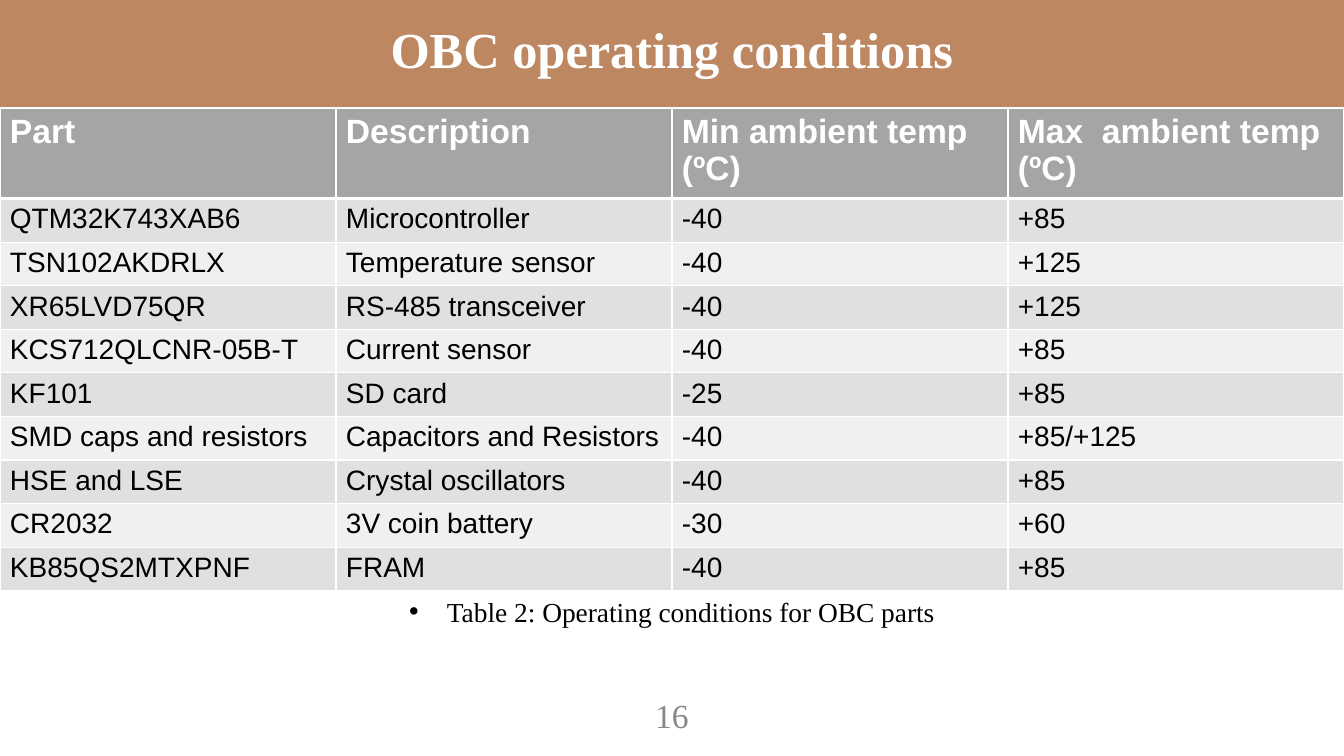
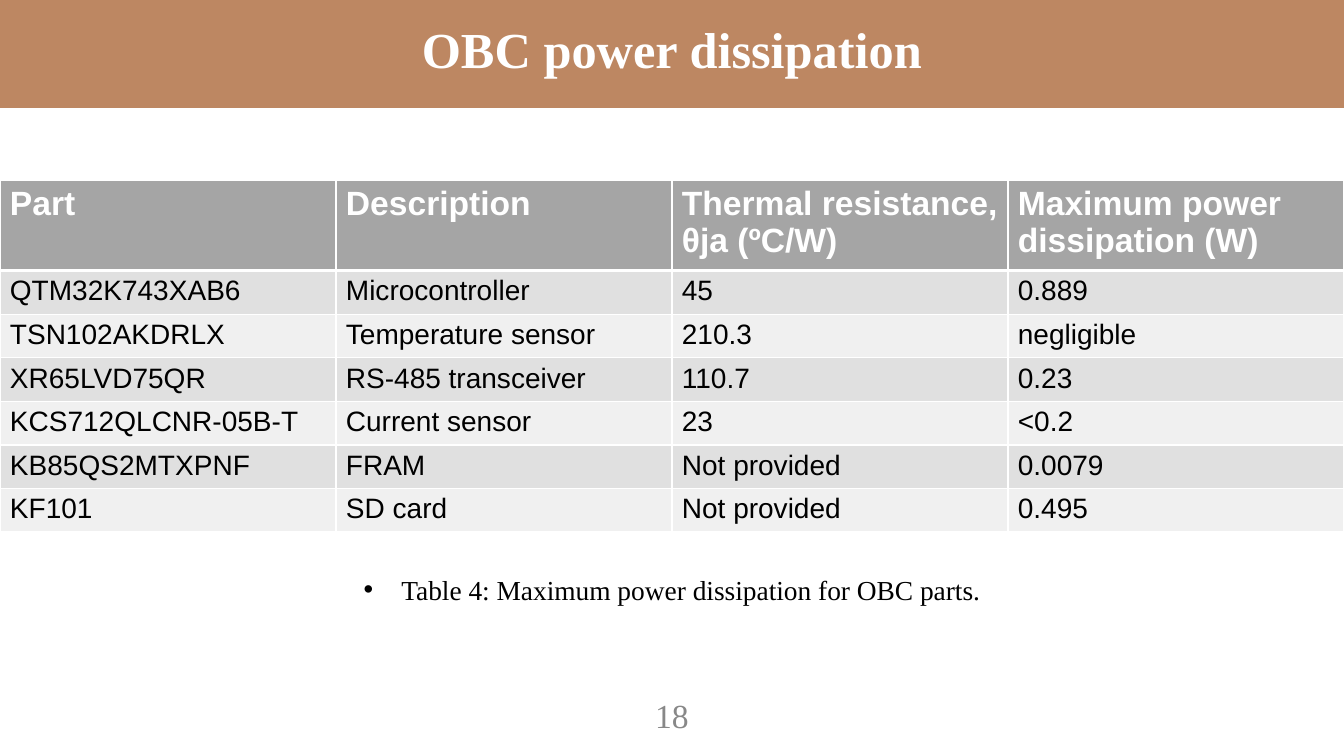
from lxml.etree import SubElement
from pptx import Presentation
from pptx.dml.color import RGBColor
from pptx.enum.text import MSO_ANCHOR, MSO_AUTO_SIZE, PP_ALIGN
from pptx.oxml.ns import qn
from pptx.util import Emu, Pt

WHITE = RGBColor(0xFF, 0xFF, 0xFF)
BLACK = RGBColor(0x00, 0x00, 0x00)
BROWN = RGBColor(0x9A, 0x47, 0x0E)
HEADER_GRAY = RGBColor(0xA5, 0xA5, 0xA5)
ROW_GRAYS = (RGBColor(0xE0, 0xE0, 0xE0), RGBColor(0xF0, 0xF0, 0xF0))
NUMBER_GRAY = RGBColor(0x88, 0x88, 0x88)

SERIF, SANS = "Times New Roman", "Arial"
WIDTH, HEIGHT = 1344, 756
EMU_PER_PX = 6858000 / HEIGHT
BAND_TOP, BAND_HEIGHT = -4, 112
HEADER_HEIGHT, ROW_HEIGHT = 84, 40
MARGIN_X, MARGIN_Y = 10, 5

MICROCONTROLLER = ("QTM32K743XAB6", "Microcontroller")
TEMPERATURE_SENSOR = ("TSN102AKDRLX", "Temperature sensor")
TRANSCEIVER = ("XR65LVD75QR", "RS-485 transceiver")
CURRENT_SENSOR = ("KCS712QLCNR-05B-T", "Current sensor")
SD_CARD = ("KF101", "SD card")
MEMORY = ("KB85QS2MTXPNF", "FRAM")

OPERATING_CONDITIONS = [
    ("Part", "Description", "Min ambient temp (ºC)", "Max  ambient temp (ºC)"),
    (*MICROCONTROLLER, "-40", "+85"),
    (*TEMPERATURE_SENSOR, "-40", "+125"),
    (*TRANSCEIVER, "-40", "+125"),
    (*CURRENT_SENSOR, "-40", "+85"),
    (*SD_CARD, "-25", "+85"),
    ("SMD caps and resistors", "Capacitors and Resistors", "-40", "+85/+125"),
    ("HSE and LSE", "Crystal oscillators", "-40", "+85"),
    ("CR2032", "3V coin battery", "-30", "+60"),
    (*MEMORY, "-40", "+85"),
]
POWER_DISSIPATION = [
    ("Part", "Description", "Thermal resistance, θja (ºC/W)", "Maximum power dissipation (W)"),
    (*MICROCONTROLLER, "45", "0.889"),
    (*TEMPERATURE_SENSOR, "210.3", "negligible"),
    (*TRANSCEIVER, "110.7", "0.23"),
    (*CURRENT_SENSOR, "23", "<0.2"),
    (*MEMORY, "Not provided", "0.0079"),
    (*SD_CARD, "Not provided", "0.495"),
]


def px(length):
    return Emu(round(length * EMU_PER_PX))


def write(text_frame, text, *, font=SERIF, size=24, color=BLACK, bold=False,
          align=PP_ALIGN.CENTER, anchor=MSO_ANCHOR.MIDDLE, line_spacing=1.0):
    text_frame.word_wrap = True
    text_frame.vertical_anchor = anchor
    text_frame.margin_left = text_frame.margin_right = px(MARGIN_X)
    text_frame.margin_top = text_frame.margin_bottom = px(MARGIN_Y)
    text_frame.text = text
    paragraph = text_frame.paragraphs[0]
    paragraph.alignment = align
    paragraph.line_spacing = line_spacing
    paragraph.space_before = Pt(0)
    style = paragraph.runs[0].font
    style.name, style.size, style.bold = font, Pt(size), bold
    style.color.rgb = color


def place(shape, left, top, width, height):
    shape.left, shape.top = px(left), px(top)
    shape.width, shape.height = px(width), px(height)


def add_borders(cell, top=1, bottom=1):
    """Draw white cell edges; call before the cell is filled."""
    properties = cell._tc.get_or_add_tcPr()
    for tag, points in (("a:lnL", 1), ("a:lnR", 1), ("a:lnT", top), ("a:lnB", bottom)):
        line = SubElement(properties, qn(tag), w=str(Pt(points)))
        fill = SubElement(line, qn("a:solidFill"))
        SubElement(fill, qn("a:srgbClr"), val=str(WHITE))


class Deck:
    """Holds the shared style and the slide being built."""

    def __init__(self):
        self.presentation = Presentation()
        self.presentation.slide_width = px(WIDTH)
        self.presentation.slide_height = px(HEIGHT)
        self.slide = None

    def add_slide(self, title, number):
        layout = self.presentation.slide_layouts[1]
        self.slide = self.presentation.slides.add_slide(layout)
        self.title_band(title)
        self.page_number(number)

    def title_band(self, text):
        band = self.slide.shapes.title
        place(band, 0, BAND_TOP, WIDTH, BAND_HEIGHT)
        band.fill.solid()
        band.fill.fore_color.rgb = BROWN
        color = band._element.spPr.find(".//" + qn("a:srgbClr"))
        SubElement(color, qn("a:alpha"), val="65000")
        band.text_frame.auto_size = MSO_AUTO_SIZE.NONE
        write(band.text_frame, text, size=36, color=WHITE, bold=True, line_spacing=0.9)

    def page_number(self, number):
        width = 302
        box = self.slide.shapes.add_textbox(px((WIDTH - width) / 2), px(695), px(width), px(40))
        write(box.text_frame, str(number), color=NUMBER_GRAY)

    def caption(self, text, top):
        body = self.slide.placeholders[1]
        place(body, 0, top, WIDTH, 37)
        body.text_frame.auto_size = MSO_AUTO_SIZE.NONE
        properties = body.text_frame.paragraphs[0]._p.get_or_add_pPr()
        properties.set("marL", "0")
        properties.set("indent", "0")
        SubElement(properties, qn("a:buNone"))
        write(body.text_frame, text, size=19.6, anchor=MSO_ANCHOR.TOP, line_spacing=0.7)

    def table(self, rows, top):
        height = HEADER_HEIGHT + ROW_HEIGHT * (len(rows) - 1)
        table = self.slide.shapes.add_table(
            len(rows), len(rows[0]), 0, px(top), px(WIDTH), px(height)).table
        for row_index, values in enumerate(rows):
            is_header = row_index == 0
            table.rows[row_index].height = px(HEADER_HEIGHT if is_header else ROW_HEIGHT)
            for column_index, value in enumerate(values):
                cell = table.cell(row_index, column_index)
                add_borders(cell, top=3 if row_index == 1 else 1, bottom=3 if is_header else 1)
                cell.fill.solid()
                cell.fill.fore_color.rgb = (
                    HEADER_GRAY if is_header else ROW_GRAYS[(row_index - 1) % 2])
                cell.margin_left = cell.margin_right = px(MARGIN_X)
                cell.margin_top = cell.margin_bottom = px(MARGIN_Y)
                write(cell.text_frame, value, font=SANS, size=24 if is_header else 20,
                      color=WHITE if is_header else BLACK, bold=is_header,
                      align=PP_ALIGN.LEFT, anchor=MSO_ANCHOR.TOP)


def main():
    deck = Deck()
    deck.add_slide("OBC operating conditions", 16)
    deck.caption("Table 2: Operating conditions for OBC parts", top=599)
    deck.table(OPERATING_CONDITIONS, top=108)

    deck.add_slide("OBC power dissipation", 18)
    deck.caption("Table 4: Maximum power dissipation for OBC parts.", top=577)
    deck.table(POWER_DISSIPATION, top=180)
    deck.presentation.save("out.pptx")


if __name__ == "__main__":
    main()
